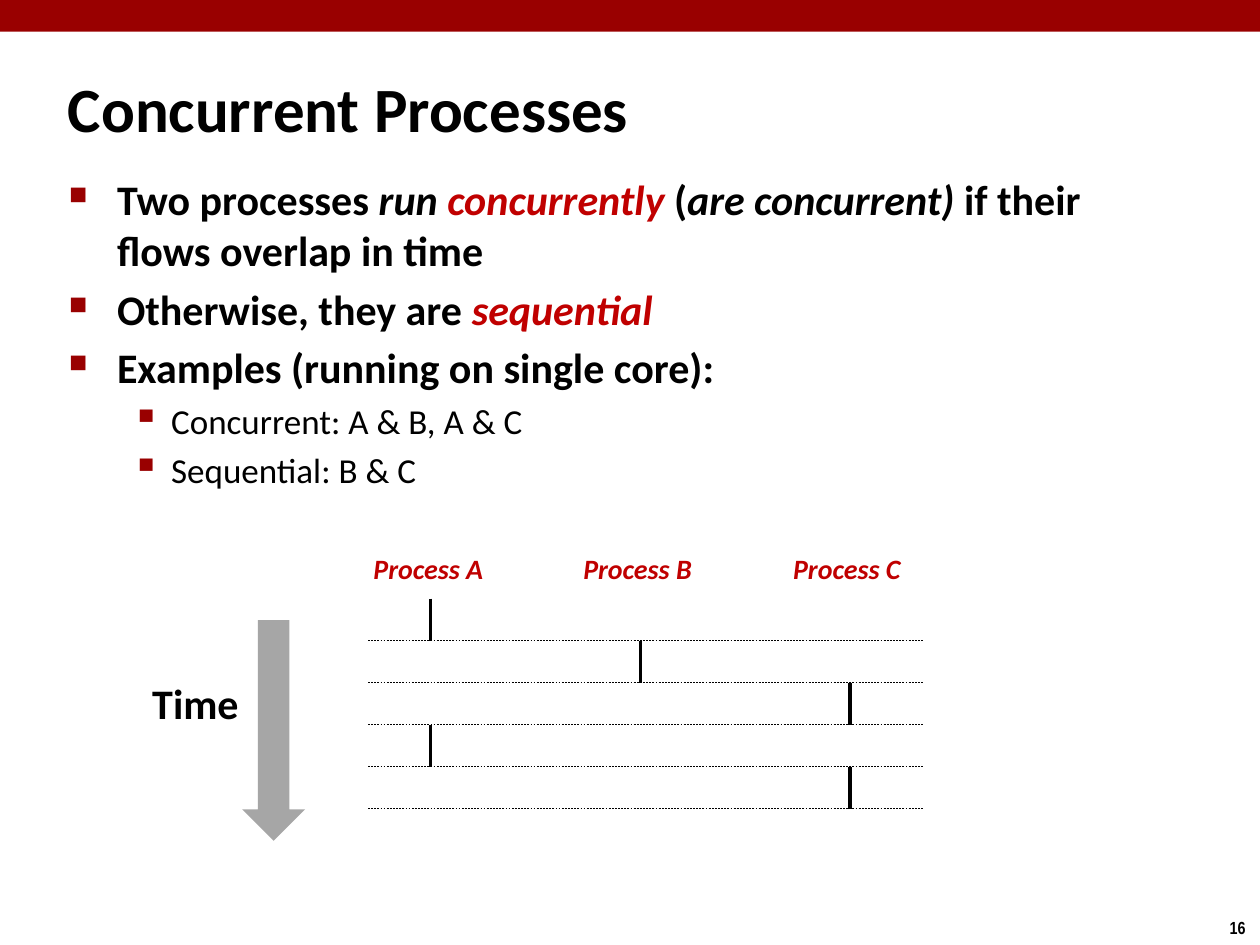
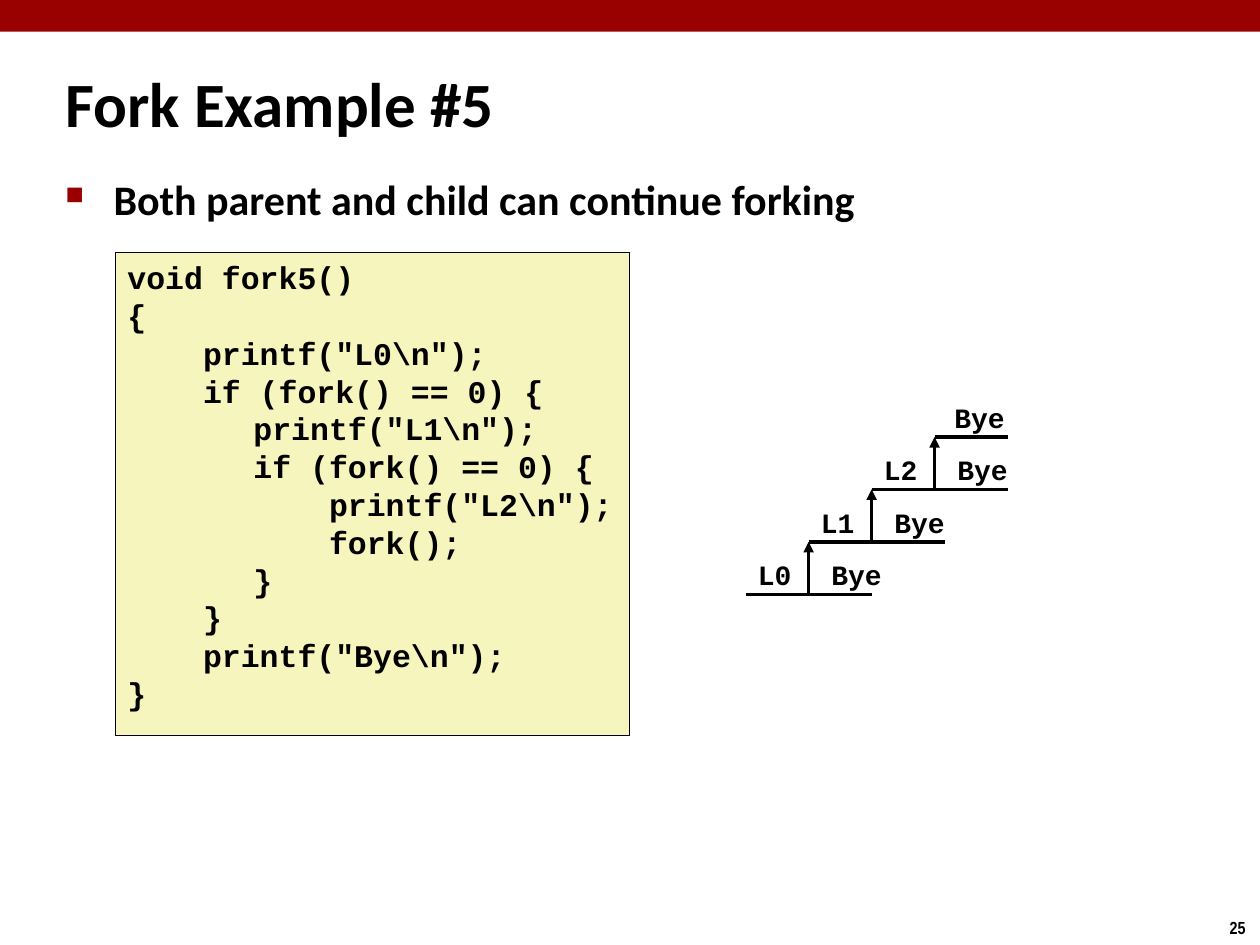
import dataclasses

import lxml.etree
import pptx
import pptx.dml.color
import pptx.enum.dml
import pptx.enum.shapes
import pptx.enum.text
import pptx.oxml.ns
import pptx.util

Cm = pptx.util.Cm
Pt = pptx.util.Pt
Shapes = pptx.enum.shapes.MSO_SHAPE
Anchor = pptx.enum.text.MSO_ANCHOR


@dataclasses.dataclass(frozen=True)
class Theme:
    band: str = "990000"
    accent: str = "C00000"
    ink: str = "000000"
    arrow: str = "A6A6A6"
    code_fill: str = "F6F5BD"
    title = {"name": "Calibri", "size": Pt(36), "bold": True}
    heading = {"name": "Calibri", "size": Pt(24), "bold": True}
    detail = {"name": "Calibri", "size": Pt(20), "bold": False}
    process = {"name": "Calibri", "size": Pt(16), "bold": True, "italic": True}
    code = {"name": "Courier New", "size": Pt(18), "bold": True}
    output = {"name": "Courier New", "size": Pt(16), "bold": True}
    number = {"name": "Arial Narrow", "size": Pt(10), "bold": True}
    flow = {"width": Pt(2)}
    grid = {"width": Pt(0.25), "dash_style": pptx.enum.dml.MSO_LINE.DASH}
    outline = {"width": Pt(0.25)}


THEME = Theme()

# Per bullet level: text style, margin, hanging indent, symbol, symbol size, space before
BULLETS = [
    (THEME.heading, Cm(0.97), Cm(-0.97), "■", 60, Pt(4.8)),
    (THEME.detail, Cm(2.06), Cm(-0.79), "▪", 110, Pt(4)),
]


def apply_format(target, values):
    for name, value in values.items():
        setattr(target, name, value)


def rgb(color):
    return pptx.dml.color.RGBColor.from_string(color)


def add_element(parent, tag, **attributes):
    return lxml.etree.SubElement(parent, pptx.oxml.ns.qn(tag), attributes)


def add_run(paragraph, text, style, color=THEME.ink):
    run = paragraph.add_run()
    run.text = text
    apply_format(run.font, style)
    run.font.color.rgb = rgb(color)


def set_indent(paragraph, margin, indent):
    properties = paragraph._p.get_or_add_pPr()
    properties.set("marL", str(int(margin)))
    properties.set("indent", str(int(indent)))
    return properties


def add_text_box(slide, box, wrap=True):
    shape = slide.shapes.add_textbox(*map(Cm, box))
    shape.text_frame.word_wrap = wrap
    return shape.text_frame


def add_label(slide, box, text, style, color=THEME.ink):
    """Add one line of text that never wraps."""
    add_run(add_text_box(slide, box, wrap=False).paragraphs[0], text, style, color)


def add_filled_shape(slide, kind, box, color):
    shape = slide.shapes.add_shape(kind, *map(Cm, box))
    shape.shadow.inherit = False
    shape.fill.solid()
    shape.fill.fore_color.rgb = rgb(color)
    shape.line.fill.background()
    return shape


def add_line(slide, start, end, style, arrow=False):
    connector = slide.shapes.add_connector(
        pptx.enum.shapes.MSO_CONNECTOR.STRAIGHT, *map(Cm, start + end))
    connector.line.color.rgb = rgb(THEME.ink)
    apply_format(connector.line, style)
    if arrow:
        add_element(connector.line._get_or_add_ln(), "a:tailEnd", type="triangle")
    add_element(connector._element.spPr, "a:effectLst")


def add_frame(presentation, title_box, title, number):
    """Add a slide with the band, title and slide number."""
    slide = presentation.slides.add_slide(presentation.slide_layouts[6])
    add_filled_shape(slide, Shapes.RECTANGLE, (0, 0, 25.4, 0.64), THEME.band)
    add_label(slide, (24.54, 18.36, 0.86, 0.69), number, THEME.number)
    frame = add_text_box(slide, title_box)
    frame.vertical_anchor = Anchor.MIDDLE
    set_indent(frame.paragraphs[0], Cm(0.33), Cm(-0.33))
    add_run(frame.paragraphs[0], title, THEME.title)
    return slide


def add_bullets(slide, box, items):
    """Each item is a level and its runs of (text, italic, color)."""
    frame = add_text_box(slide, box)
    for index, (level, runs) in enumerate(items):
        style, margin, indent, symbol, percent, space = BULLETS[level]
        paragraph = frame.paragraphs[0] if index == 0 else frame.add_paragraph()
        paragraph.level = level
        properties = set_indent(paragraph, margin, indent)
        add_element(add_element(properties, "a:buClr"), "a:srgbClr", val=THEME.band)
        add_element(properties, "a:buSzPct", val=str(percent * 1000))
        add_element(properties, "a:buChar", char=symbol)
        paragraph.space_before = space if index else Pt(0)
        for text, italic, color in runs:
            add_run(paragraph, text, {**style, "italic": italic}, color)


def add_timeline(slide, box, processes, schedule):
    """Draw one column per process and one row per time slice."""
    left, top, width, height = box
    label_height = 1.07
    column_gap, first_column = 4.23, 1.26
    row_height = (height - label_height) / len(schedule)
    columns = [left + first_column + column_gap * i for i in range(len(processes))]
    for x, process in zip(columns, processes):
        add_label(slide, (x - 1.4, top, 2.77, 0.94), process, THEME.process, THEME.accent)
    for row, running in enumerate(schedule):
        start = top + label_height + row * row_height
        end = start + row_height
        x = columns[running]
        add_line(slide, (x, start), (x, end), THEME.flow)
        add_line(slide, (left, end), (left + width, end), THEME.grid)


def add_time_arrow(slide, box):
    left, top, width, height = box
    add_label(slide, (left, top + 1.04, 2.26, 1.27), "Time", THEME.heading)
    arrow_width = 1.27
    add_filled_shape(slide, Shapes.DOWN_ARROW,
                     (left + width - arrow_width, top, arrow_width, height), THEME.arrow)


def add_code(slide, box, lines):
    shape = add_filled_shape(slide, Shapes.RECTANGLE, box, THEME.code_fill)
    shape.line.color.rgb = rgb(THEME.ink)
    apply_format(shape.line, THEME.outline)
    frame = shape.text_frame
    apply_format(frame, {"word_wrap": True, "vertical_anchor": Anchor.TOP})
    for index, line in enumerate(lines):
        paragraph = frame.paragraphs[0] if index == 0 else frame.add_paragraph()
        tabs = add_element(paragraph._p.get_or_add_pPr(), "a:tabLst")
        add_element(tabs, "a:tab", pos=str(int(Cm(2.54))), algn="l")
        apply_format(paragraph, {"alignment": pptx.enum.text.PP_ALIGN.LEFT,
                                 "line_spacing": Pt(21.6)})
        add_run(paragraph, line, THEME.code)


def add_fork_graph(slide, box, branches):
    """Draw a staircase: each process prints its label, forks upward, then exits."""
    left, top, width, height = box
    step, label_rise, label_height = 1.27, 0.86, 0.94
    rise = (height - label_rise) / len(branches)
    bottom = top + height
    for level, branch in enumerate(branches):
        x, y = left + level * step, bottom - level * rise
        fork = x + step
        tail = 1.27 if level == 0 else 1.48
        add_line(slide, (x, y), (fork, y), THEME.flow)
        add_line(slide, (fork, y), (fork + tail, y), THEME.flow)
        add_line(slide, (fork, y), (fork, y - rise), THEME.flow, arrow=True)
        add_label(slide, (x, y - label_rise, 1.19, label_height), branch, THEME.output)
        add_label(slide, (fork + 0.21, y - label_rise, 1.52, label_height),
                  "Bye", THEME.output)
    last = left + len(branches) * step
    add_line(slide, (last, top + label_rise), (left + width, top + label_rise), THEME.flow)
    add_label(slide, (last + 0.15, top, 1.52, label_height), "Bye", THEME.output)


def build_concurrent_processes(presentation):
    slide = add_frame(presentation, (1.12, 1.37, 16.87, 1.6), "Concurrent Processes", "16")
    ink, accent = THEME.ink, THEME.accent
    add_bullets(slide, (1.14, 3.38, 21.95, 7.19), [
        (0, [("Two processes ", False, ink), ("run ", True, ink),
             ("concurrently", True, accent), (" (", False, ink),
             ("are concurrent)", True, ink),
             (" if their flows overlap in time", False, ink)]),
        (0, [("Otherwise, they are ", False, ink), ("sequential", True, accent)]),
        (0, [("Examples (running on single core):", False, ink)]),
        (1, [("Concurrent: A & B, A & C", False, ink)]),
        (1, [("Sequential: B & C", False, ink)]),
    ])
    add_timeline(slide, (7.42, 11, 11.2, 5.3),
                 ["Process A", "Process B", "Process C"], [0, 1, 2, 0, 2])
    add_time_arrow(slide, (2.82, 12.5, 3.33, 4.45))


def build_fork_example(presentation):
    slide = add_frame(presentation, (1.07, 1.27, 14.15, 1.6), "Fork Example #5", "25")
    add_bullets(slide, (1.07, 3.38, 21.95, 2.13), [
        (0, [("Both parent and child can continue forking", False, THEME.ink)]),
    ])
    add_code(slide, (2.32, 5.08, 10.36, 9.75), [
        'void fork5()',
        '{',
        '    printf("L0\\n");',
        '    if (fork() == 0) {',
        '\tprintf("L1\\n");',
        '\tif (fork() == 0) {',
        '\t    printf("L2\\n");',
        '\t    fork();',
        '\t}',
        '    }',
        '    printf("Bye\\n");',
        '}',
    ])
    add_fork_graph(slide, (15.03, 7.95, 5.29, 4.03), ["L0", "L1", "L2"])


def main():
    presentation = pptx.Presentation()
    presentation.slide_width = Cm(25.4)
    presentation.slide_height = Cm(19.05)
    build_concurrent_processes(presentation)
    build_fork_example(presentation)
    presentation.save("out.pptx")


if __name__ == "__main__":
    main()
